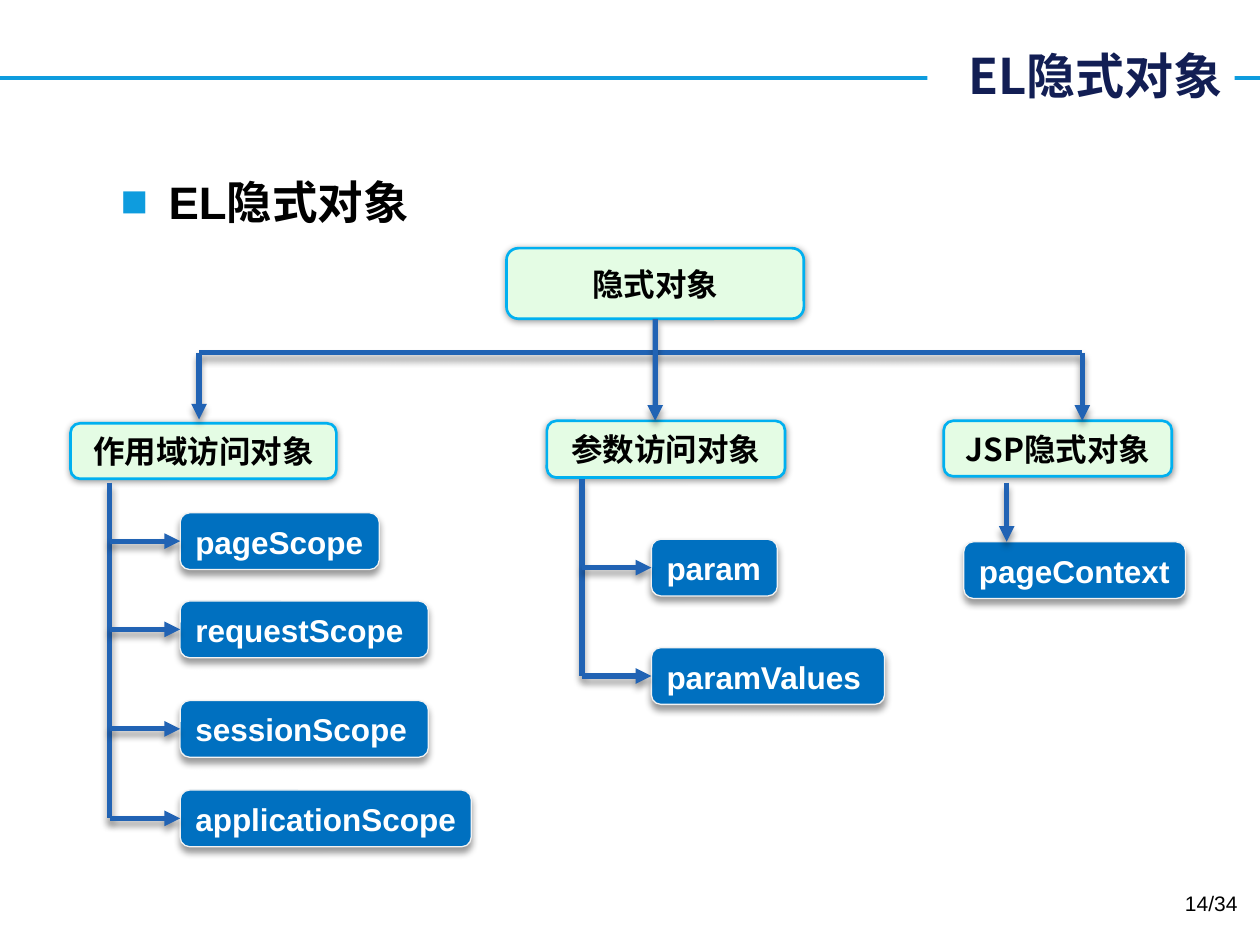
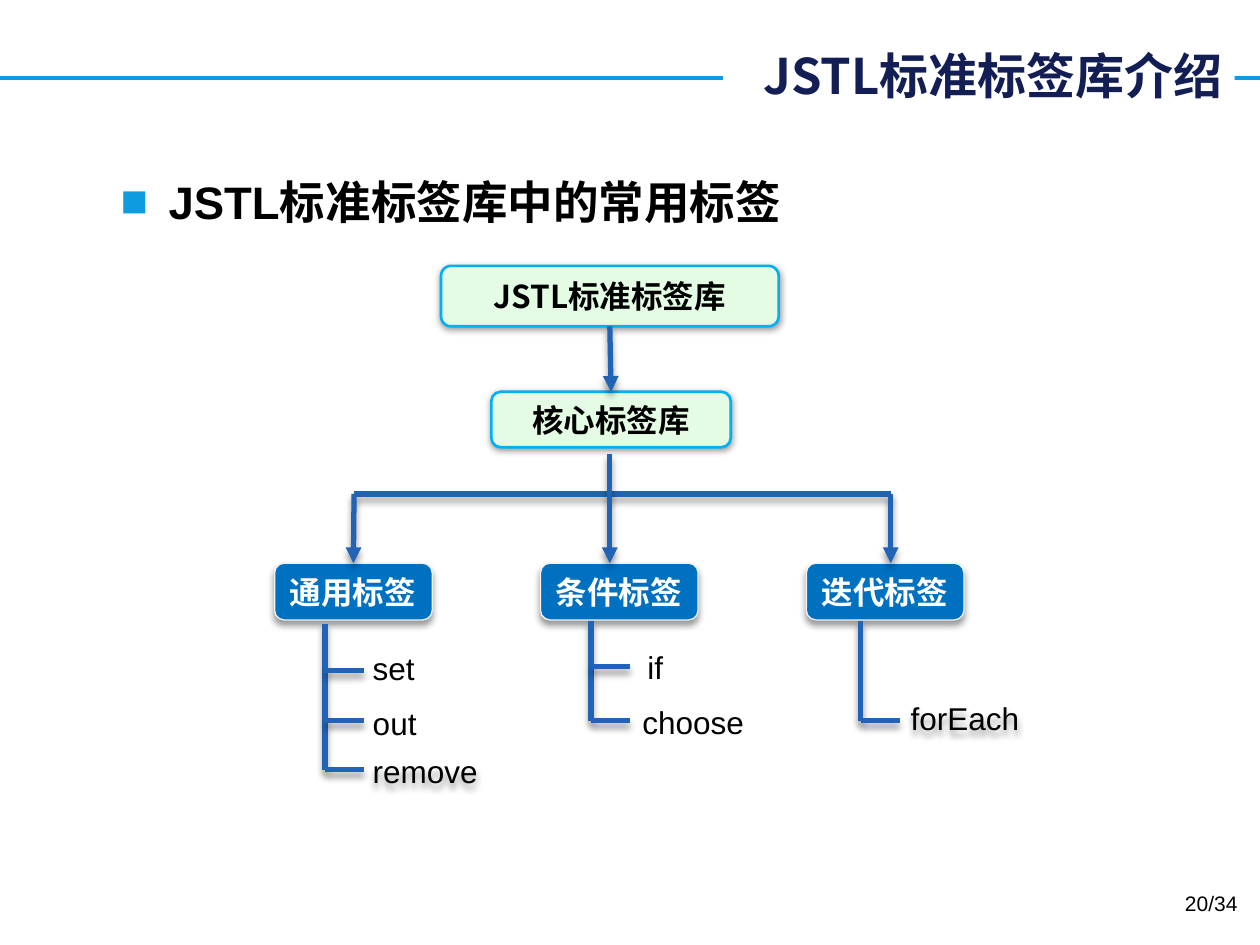
from dataclasses import dataclass

from lxml import etree
from pptx import Presentation
from pptx import util as u
from pptx.dml.color import RGBColor
from pptx.enum import shapes, text
from pptx.oxml.ns import qn


@dataclass(frozen=True)
class Theme:
    cjk: str = "Noto Sans CJK SC"
    latin: str = "Arial"
    band: str = "0E9CDE"
    title: str = "121E54"
    ink: str = "000000"
    paper: str = "FFFFFF"
    arrow: str = "2163B4"
    title_size: int = 28
    heading_size: int = 26
    diagram_size: int = 18
    page_size: int = 12
    band_width: float = 2.25
    arrow_width: float = 3


T = Theme()

BOX_STYLES = {
    "group": {"fill": "E4FCE4", "line": "00B0F0", "width": 1.5, "drop": 1,
              "font": T.cjk, "color": T.ink, "right": 0.1,
              "align": text.PP_ALIGN.CENTER, "anchor": text.MSO_ANCHOR.MIDDLE},
    "item": {"fill": "0070C0", "line": "F2F2F2", "width": 0.75, "drop": 3,
             "font": T.latin, "color": T.paper, "right": 0,
             "align": text.PP_ALIGN.LEFT, "anchor": text.MSO_ANCHOR.BOTTOM},
}
TOP, LEFT, BOTTOM = 0, 1, 2
ITEM_H = 0.45
STUB = 0.31

SLIDES = [
    {
        "title": "EL隐式对象", "title_w": 2.44,
        "heading": "EL隐式对象", "page": "14/34",
        "groups": [
            ("隐式对象", 4.02, 1.97, 2.36, 0.56),
            ("作用域访问对象", 0.56, 3.36, 2.11, 0.44),
            ("参数访问对象", 4.34, 3.34, 1.89, 0.45),
            ("JSP隐式对象", 7.49, 3.34, 1.81, 0.44),
        ],
        "items": [
            ("pageScope", 1.43, 4.07, 1.58),
            ("requestScope", 1.43, 4.77, 1.97),
            ("sessionScope", 1.43, 5.56, 1.97),
            ("applicationScope", 1.43, 6.27, 2.31),
            ("param", 5.17, 4.28, 1),
            ("paramValues", 5.17, 5.14, 1.85),
            ("pageContext", 7.65, 4.3, 1.76),
        ],
        "bars": [((1.58, 2.8), (8.59, 2.8))],
        "arrows": [
            (("隐式对象", BOTTOM), (5.2, 3.34)),
            ((1.58, 2.8), (1.58, 3.33)),
            ((8.59, 2.8), (8.59, 3.34)),
            ((7.99, 3.83), (7.99, 4.3)),
        ],
        "branches": [
            (0.87, 3.83, ["pageScope", "requestScope", "sessionScope", "applicationScope"]),
            (4.62, 3.8, ["param", "paramValues"]),
        ],
        "leaves": [],
    },
    {
        "title": "JSTL标准标签库介绍", "title_w": 4.06,
        "heading": "JSTL标准标签库中的常用标签", "page": "20/34",
        "groups": [
            ("JSTL标准标签库", 3.5, 2.11, 2.68, 0.48),
            ("核心标签库", 3.9, 3.11, 1.9, 0.44),
        ],
        "items": [
            ("通用标签", 2.18, 4.47, 1.25),
            ("条件标签", 4.29, 4.47, 1.25),
            ("迭代标签", 6.4, 4.47, 1.25),
        ],
        "bars": [((2.81, 3.92), (7.07, 3.92))],
        "arrows": [
            (("JSTL标准标签库", BOTTOM), ("核心标签库", TOP)),
            ((4.84, 3.6), (4.84, 4.47)),
            ((2.81, 3.92), ("通用标签", TOP)),
            ((7.07, 3.92), (7.07, 4.47)),
        ],
        "branches": [],
        "leaves": [
            (2.58, 4.95, [("set", 5.32, 2.86, 5.1, 0.56, False),
                          ("out", 5.72, 2.86, 5.54, 0.59, False),
                          ("remove", 6.11, 2.86, 5.92, 1.04, True)]),
            (4.69, 4.93, [("if", 5.29, 5.04, 5.09, 0.35, False),
                          ("choose", 5.72, 5, 5.53, 1.02, False)]),
            (6.83, 4.93, [("forEach", 5.72, 7.13, 5.5, 1.07, True)]),
        ],
    },
]


def put(obj, values):
    for name, value in values.items():
        setattr(obj, name, value)


def rgb(value):
    return RGBColor.from_string(value)


def inches(*values):
    return [u.Inches(v) for v in values]


def add_shadow(sp_pr, drop):
    effects = sp_pr.find(qn("a:effectLst"))
    if effects is None:
        effects = etree.SubElement(sp_pr, qn("a:effectLst"))
    outer = etree.SubElement(effects, qn("a:outerShdw"), blurRad=str(u.Pt(4)),
                             dist=str(u.Pt(drop)), dir="5400000", rotWithShape="0")
    color = etree.SubElement(outer, qn("a:srgbClr"), val=T.ink)
    etree.SubElement(color, qn("a:alpha"), val="40000")


def write(sp, words, size, font, color=T.ink, bold=False, align=text.PP_ALIGN.LEFT,
          anchor=text.MSO_ANCHOR.TOP, right=0.1):
    tf = sp.text_frame
    put(tf, {"word_wrap": True, "vertical_anchor": anchor, "margin_right": u.Inches(right)})
    p = tf.paragraphs[0]
    p.alignment = align
    r = p.add_run()
    r.text = words
    put(r.font, {"size": u.Pt(size), "bold": bold, "name": font})
    r.font.color.rgb = rgb(color)
    etree.SubElement(r.font._element, qn("a:ea"), typeface=T.cjk)
    return p


def add_text(s, box, words, size, font, **style):
    sp = s.shapes.add_textbox(*inches(*box))
    return sp, write(sp, words, size, font, **style)


def add_box(s, style, words, x, y, w, h=ITEM_H):
    f = BOX_STYLES[style]
    sp = s.shapes.add_shape(shapes.MSO_SHAPE.ROUNDED_RECTANGLE, *inches(x, y, w, h))
    sp.shadow.inherit = False
    sp.fill.solid()
    sp.fill.fore_color.rgb = rgb(f["fill"])
    sp.line.color.rgb = rgb(f["line"])
    sp.line.width = u.Pt(f["width"])
    add_shadow(sp._element.spPr, f["drop"])
    write(sp, words, T.diagram_size, bold=True,
          **{k: f[k] for k in ("font", "color", "align", "anchor", "right")})
    return sp


def add_line(s, start, end, boxes, arrow=False, color=T.arrow, width=T.arrow_width, shadow=True):
    joins = [isinstance(spot[0], str) for spot in (start, end)]
    ends = [(0, 0) if joined else spot for joined, spot in zip(joins, (start, end))]
    c = s.shapes.add_connector(shapes.MSO_CONNECTOR.STRAIGHT, *inches(*ends[0], *ends[1]))
    for joined, spot, connect in zip(joins, (start, end), (c.begin_connect, c.end_connect)):
        if joined:
            connect(boxes[spot[0]], spot[1])
    c.line.color.rgb = rgb(color)
    c.line.width = u.Pt(width)
    if arrow:
        etree.SubElement(c.line._get_or_add_ln(), qn("a:tailEnd"), type="triangle")
    if shadow:
        add_shadow(c._element.spPr, 3)
    else:
        etree.SubElement(c._element.spPr, qn("a:effectLst"))


def add_frame(s, d):
    add_line(s, (0, 0.62), (10, 0.62), {}, color=T.band, width=T.band_width, shadow=False)
    sp, _ = add_text(s, (9.8 - d["title_w"], 0.31, d["title_w"], 0.57), d["title"],
                     T.title_size, T.cjk, color=T.title, bold=True,
                     align=text.PP_ALIGN.RIGHT, anchor=text.MSO_ANCHOR.MIDDLE)
    sp.fill.solid()
    sp.fill.fore_color.rgb = rgb(T.paper)
    _, p = add_text(s, (0.86, 1.33, 8.36, 0.6), d["heading"], T.heading_size, T.latin, bold=True)
    ppr = p._p.get_or_add_pPr()
    indent = u.Inches(0.38)
    ppr.set("marL", str(indent))
    ppr.set("indent", str(-indent))
    color = etree.SubElement(ppr, qn("a:buClr"))
    etree.SubElement(color, qn("a:srgbClr"), val=T.band)
    etree.SubElement(ppr, qn("a:buFont"), typeface=T.latin)
    etree.SubElement(ppr, qn("a:buChar"), char="■")
    add_text(s, (7.59, 7.02, 2.33, 0.4), d["page"], T.page_size, T.latin,
             align=text.PP_ALIGN.RIGHT)


def add_diagram(s, d):
    boxes = {}
    for style, rows in (("group", d["groups"]), ("item", d["items"])):
        for row in rows:
            boxes[row[0]] = add_box(s, style, *row)
    for start, end in d["bars"]:
        add_line(s, start, end, boxes)
    for start, end in d["arrows"]:
        add_line(s, start, end, boxes, arrow=True)
    for x, top, names in d["branches"]:
        mids = [(boxes[n].top + boxes[n].height / 2) / u.Inches(1) for n in names]
        add_line(s, (x, top), (x, mids[-1]), boxes)
        for name, y in zip(names, mids):
            add_line(s, (x, y), (name, LEFT), boxes, arrow=True)
    for x, top, labels in d["leaves"]:
        add_line(s, (x, top), (x, labels[-1][1]), boxes)
        for words, y, left, label_top, width, shadow in labels:
            add_line(s, (x, y), (x + STUB, y), boxes)
            sp, _ = add_text(s, (left, label_top, width, 0.4), words,
                             T.diagram_size, T.latin, right=0)
            if shadow:
                add_shadow(sp._element.spPr, 3)


def main():
    prs = Presentation()
    put(prs, {"slide_width": u.Inches(10), "slide_height": u.Inches(7.5)})
    for d in SLIDES:
        s = prs.slides.add_slide(prs.slide_layouts[6])
        add_frame(s, d)
        add_diagram(s, d)
    prs.save("out.pptx")


if __name__ == "__main__":
    main()
